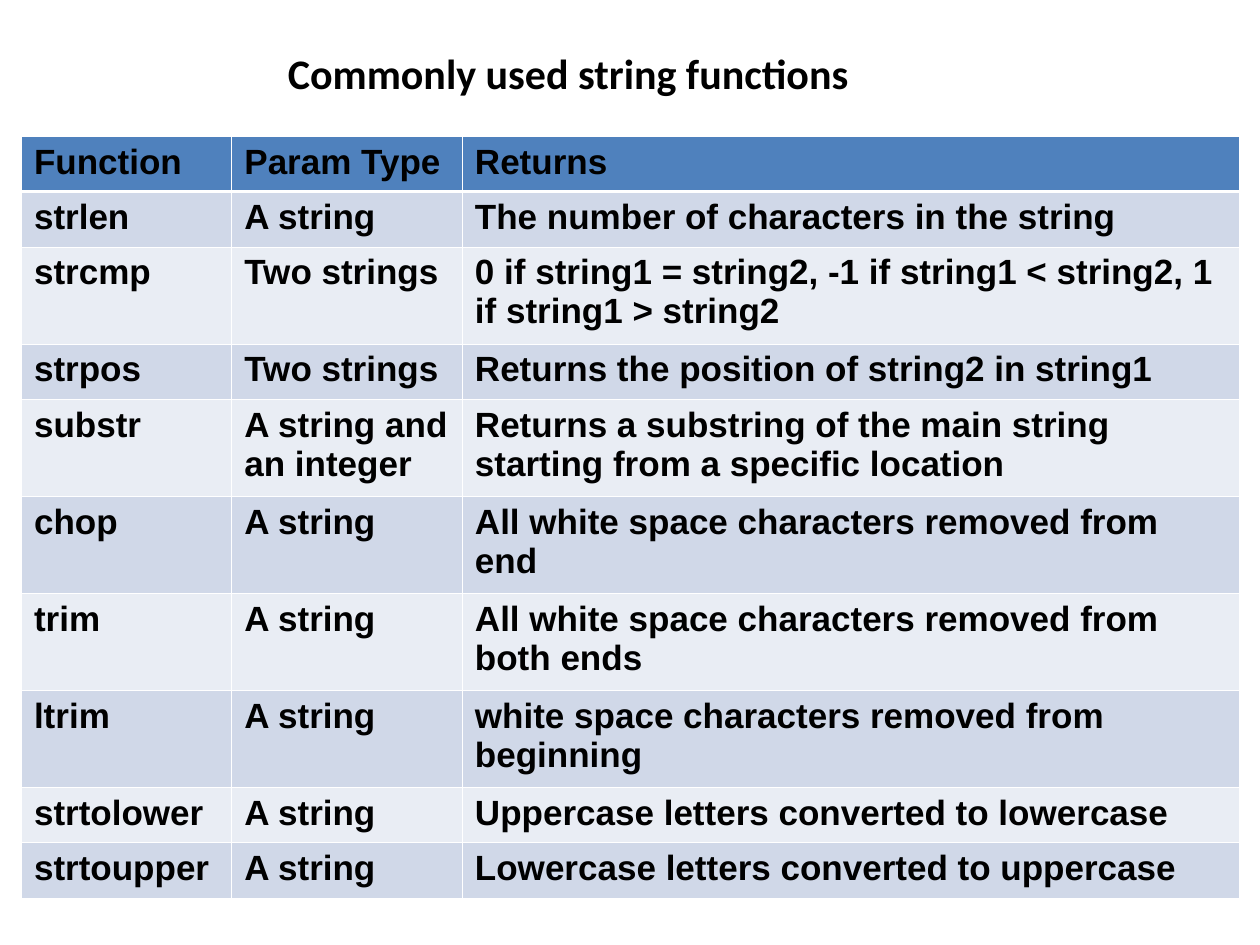
from pptx import Presentation
from pptx.dml.color import RGBColor
from pptx.enum.text import MSO_ANCHOR, PP_ALIGN
from pptx.oxml.ns import qn
from pptx.util import Inches, Pt
from lxml import etree

TOP = MSO_ANCHOR.TOP
CENTER = PP_ALIGN.CENTER

# Content
TITLE = "Commonly used string functions"
ROWS = [
    ("Function", "Param Type", "Returns"),
    ("strlen", "A string", "The number of characters in the string"),
    ("strcmp", "Two strings",
     "0 if string1 = string2, -1 if string1 < string2, 1 if string1 > string2"),
    ("strpos", "Two strings", "Returns the position of string2 in string1"),
    ("substr", "A string and an integer",
     "Returns a substring of the main string starting from a specific location"),
    ("chop", "A string", "All white space characters removed from end"),
    ("trim", "A string", "All white space characters removed from both ends"),
    ("ltrim", "A string", "white space characters removed from beginning"),
    ("strtolower", "A string", "Uppercase letters converted to lowercase"),
    ("strtoupper", "A string", "Lowercase letters converted to uppercase"),
]
TWO_LINE_ROWS = {"strcmp", "substr", "chop", "trim", "ltrim"}

# Theme and layout
THEME = {
    "text": "000000", "header": "4F81BD", "bands": ("E9EDF4", "D0D8E8"),
    "border": "FFFFFF", "thin": 0.45, "thick": 1.5,
    "title_font": "Calibri", "title_size": 24,
    "table_font": "Arial", "table_size": 20,
}
COLUMN_WIDTHS = (1.67, 1.83, 6.17)
ONE_LINE, TWO_LINES = 0.44, 0.77


def set_font(p, name, size):
    p.font.name = name
    p.font.size = Pt(size)
    p.font.bold = True
    p.font.color.rgb = RGBColor.from_string(THEME["text"])


def set_borders(cell, widths):
    """Add cell borders; widths are points by side (L, R, T, B)."""
    tc_pr = cell._tc.get_or_add_tcPr()
    for side, width in widths.items():
        line = etree.SubElement(tc_pr, qn(f"a:ln{side}"), w=str(Pt(width)))
        fill = etree.SubElement(line, qn("a:solidFill"))
        etree.SubElement(fill, qn("a:srgbClr"), val=THEME["border"])


prs = Presentation()
prs.slide_width, prs.slide_height = Inches(10), Inches(7.5)
s = prs.slides.add_slide(prs.slide_layouts[5])

# Title
title = s.shapes.title
title.left, title.top = Inches(0.3), Inches(0.33)
title.width, title.height = Inches(8.42), Inches(0.5)
tf = title.text_frame
tf.text = TITLE
tf.word_wrap = True
tf.vertical_anchor = TOP
p = tf.paragraphs[0]
p.alignment = CENTER
set_font(p, THEME["title_font"], THEME["title_size"])

# Function table
heights = [TWO_LINES if row[0] in TWO_LINE_ROWS else ONE_LINE for row in ROWS]
table = s.shapes.add_table(
    len(ROWS), len(COLUMN_WIDTHS), Inches(0.17), Inches(1.08),
    Inches(sum(COLUMN_WIDTHS)), Inches(sum(heights))).table
for column, width in zip(table.columns, COLUMN_WIDTHS):
    column.width = Inches(width)

for i, (row, height) in enumerate(zip(ROWS, heights)):
    table.rows[i].height = Inches(height)
    color = THEME["bands"][i % 2] if i else THEME["header"]
    borders = dict.fromkeys("LRTB", THEME["thin"])
    if i < 2:
        borders["T" if i else "B"] = THEME["thick"]
    for j, text in enumerate(row):
        cell = table.cell(i, j)
        set_borders(cell, borders)
        cell.fill.solid()
        cell.fill.fore_color.rgb = RGBColor.from_string(color)
        cell.text = text
        set_font(cell.text_frame.paragraphs[0],
                 THEME["table_font"], THEME["table_size"])

prs.save("out.pptx")
